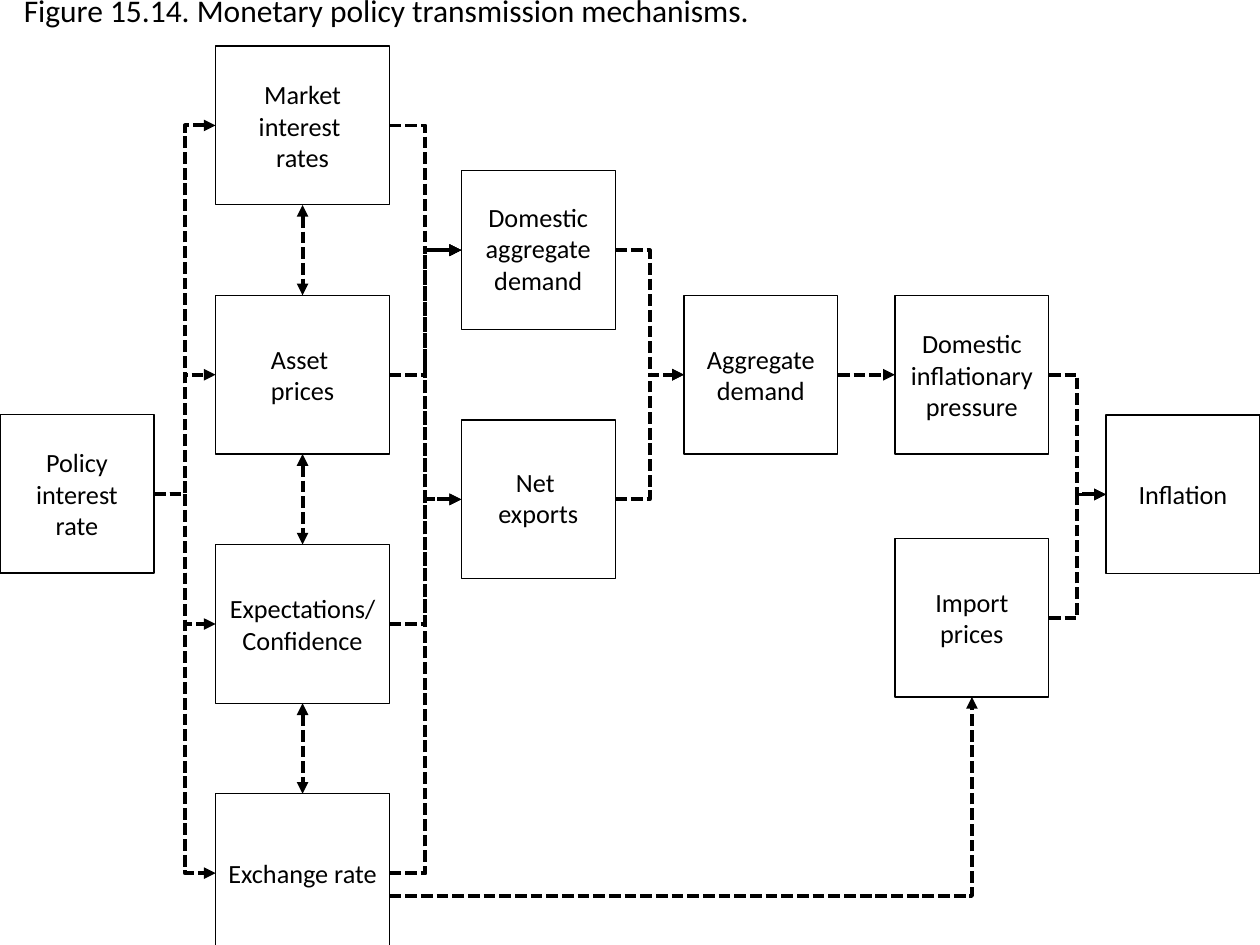
import pptx
import pptx.util
import pptx.dml.color
import pptx.enum.dml
import pptx.enum.shapes
import pptx.enum.text
import pptx.oxml
import pptx.oxml.ns

Pt = pptx.util.Pt
BLACK = pptx.dml.color.RGBColor(0x00, 0x00, 0x00)
WHITE = pptx.dml.color.RGBColor(0xFF, 0xFF, 0xFF)
FONT = "Calibri"
STRAIGHT = pptx.enum.shapes.MSO_CONNECTOR.STRAIGHT
ELBOW = pptx.enum.shapes.MSO_CONNECTOR.ELBOW
TOP, LEFT, BOTTOM, RIGHT = range(4)
BOX_HEIGHT = 90.7
BOX_WIDTH = 88
CHANNEL_WIDTH = 99.4
ROW_STEP = 142.4


def style_text(frame, size, alignment):
    for paragraph in frame.paragraphs:
        paragraph.alignment = alignment
        for run in paragraph.runs:
            run.font.name = FONT
            run.font.size = Pt(size)
            run.font.color.rgb = BLACK


def add_title(slide, left, top, width, height):
    title = slide.shapes.add_textbox(Pt(left), Pt(top), Pt(width), Pt(height))
    frame = title.text_frame
    frame.word_wrap = True
    frame.text = "Figure 15.14. Monetary policy transmission mechanisms."
    style_text(frame, 18, pptx.enum.text.PP_ALIGN.LEFT)


def add_stage(slide, left, top, label, width=BOX_WIDTH, inset_top=3.6):
    stage = slide.shapes.add_shape(
        pptx.enum.shapes.MSO_SHAPE.RECTANGLE, Pt(left), Pt(top), Pt(width), Pt(BOX_HEIGHT))
    stage.shadow.inherit = False
    stage.fill.solid()
    stage.fill.fore_color.rgb = WHITE
    stage.line.color.rgb = BLACK
    stage.line.width = Pt(0.75)
    frame = stage.text_frame
    frame.word_wrap = True
    frame.margin_top = Pt(inset_top)
    frame.vertical_anchor = pptx.enum.text.MSO_ANCHOR.MIDDLE
    frame.text = label
    style_text(frame, 15, pptx.enum.text.PP_ALIGN.CENTER)
    return stage


def add_column(slide, left, top, labels, **options):
    return [add_stage(slide, left, top + row * ROW_STEP, label, **options)
            for row, label in enumerate(labels)]


def add_arrow(slide, kind, start, end, both_ends=False):
    arrow = slide.shapes.add_connector(kind, *start, *end)
    arrow.line.color.rgb = BLACK
    arrow.line.width = Pt(2.25)
    arrow.line.dash_style = pptx.enum.dml.MSO_LINE.SQUARE_DOT
    outline = arrow.line._get_or_add_ln()
    for tag in ["a:headEnd"] * both_ends + ["a:tailEnd"]:
        tip = pptx.oxml.parse_xml(f"<{tag} {pptx.oxml.ns.nsdecls('a')}/>")
        tip.set("type", "triangle")
        outline.append(tip)
    arrow._element.spPr.append(
        pptx.oxml.parse_xml(f"<a:effectLst {pptx.oxml.ns.nsdecls('a')}/>"))
    return arrow


def link(slide, source, target, kind=ELBOW, sites=(RIGHT, LEFT), both_ends=False):
    arrow = add_arrow(slide, kind, (source.left, source.top),
                      (target.left, target.top), both_ends)
    arrow.begin_connect(source, sites[0])
    arrow.end_connect(target, sites[1])


def add_corner_arrow(slide, source, target, drop):
    start = source.left + source.width, source.top + Pt(drop)
    end = target.left + target.width // 2, target.top + target.height
    arrow = add_arrow(slide, ELBOW, start, end)
    geometry = arrow._element.spPr.find(pptx.oxml.ns.qn("a:prstGeom"))
    geometry.set("prst", "bentConnector2")


def add_flowchart(slide, left, top):
    policy = add_stage(slide, left, top + 210.4, "Policy interest rate")
    channels = add_column(
        slide, left + 123.2, top,
        ["Market interest \nrates", "Asset \nprices", "Expectations/Confidence", "Exchange rate"],
        width=CHANNEL_WIDTH)
    market, assets, expectations, exchange = channels
    domestic, exports = add_column(
        slide, left + 263.6, top + ROW_STEP / 2,
        ["Domestic aggregate demand", "Net \nexports"], inset_top=1.4)
    aggregate = add_stage(slide, left + 390.8, top + ROW_STEP, "Aggregate demand")
    pressure = add_stage(slide, left + 511.4, top + ROW_STEP, "Domestic inflationary pressure")
    imports = add_stage(slide, left + 511.4, top + 281.2, "Import prices")
    inflation = add_stage(slide, left + 632, top + 210.8, "Inflation")

    for channel in channels:
        link(slide, policy, channel)
        link(slide, channel, domestic)
    for upper, lower in zip(channels, channels[1:]):
        link(slide, upper, lower, STRAIGHT, (BOTTOM, TOP), both_ends=True)
    for channel in (expectations, exchange):
        link(slide, channel, exports)
    for component in (domestic, exports):
        link(slide, component, aggregate)
    link(slide, aggregate, pressure, STRAIGHT)
    for cause in (pressure, imports):
        link(slide, cause, inflation)
    add_corner_arrow(slide, exchange, imports, 58.4)


def main():
    deck = pptx.Presentation()
    deck.slide_width = Pt(720)
    deck.slide_height = Pt(540)
    slide = deck.slides.add_slide(deck.slide_layouts[6])
    add_flowchart(slide, 0, 26.4)
    add_title(slide, 6.5, -8.6, 713.5, 29)
    deck.save("out.pptx")


if __name__ == "__main__":
    main()
